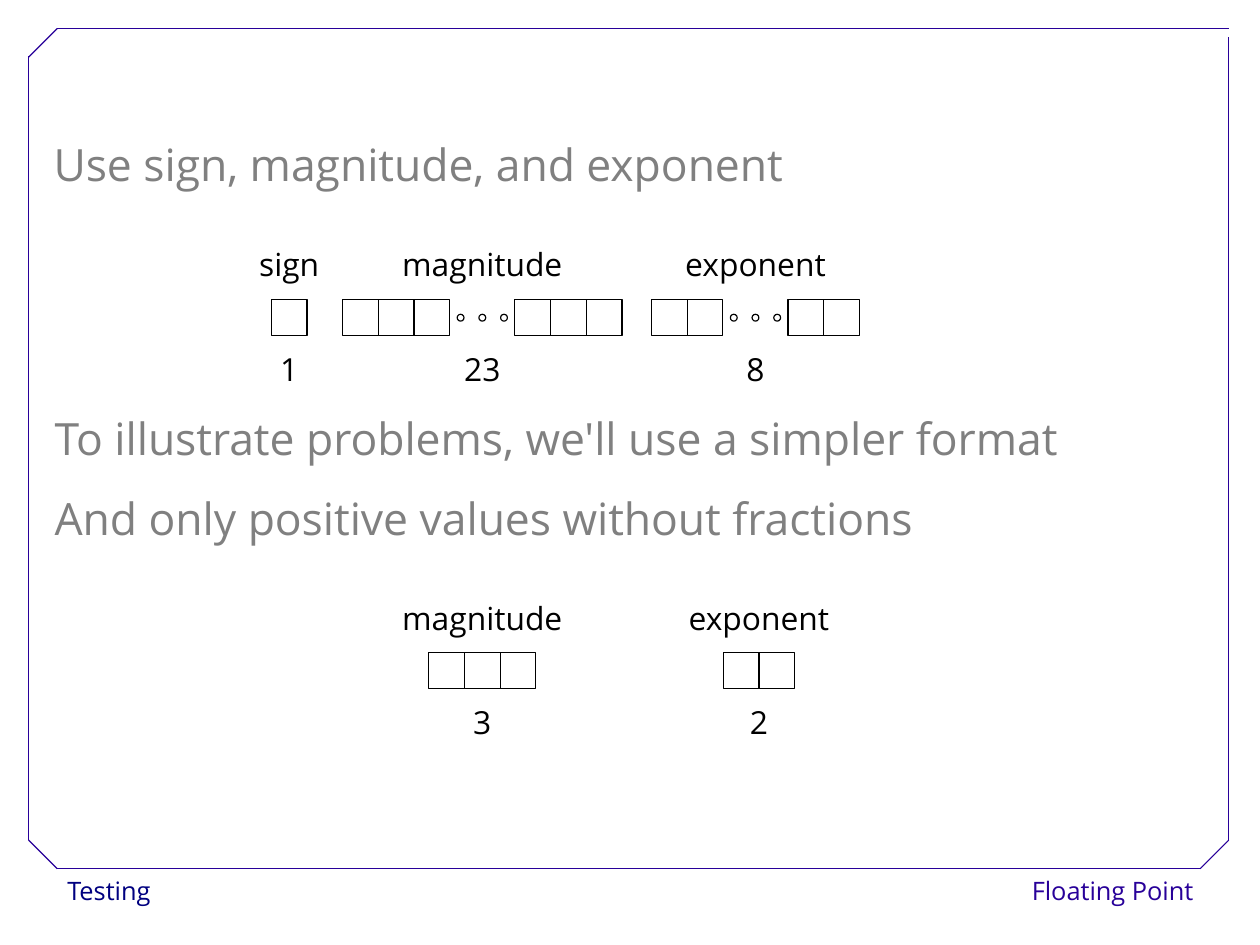
import dataclasses

import pptx
import pptx.dml.color
import pptx.enum.shapes
import pptx.enum.text
import pptx.oxml.ns
import pptx.util
from pptx.util import Inches

RGB = pptx.dml.color.RGBColor.from_string
KIND = pptx.enum.shapes.MSO_SHAPE
ALIGN = pptx.enum.text.PP_ALIGN


@dataclasses.dataclass(frozen=True)
class Theme:
    font: str = "Open Sans"
    frame: str = "280099"
    navy: str = "000080"
    grey: str = "808080"
    black: str = "000000"
    white: str = "FFFFFF"
    head: int = 28
    label: int = 20
    foot: int = 16
    line: float = 0.75


theme = Theme()
deck = pptx.Presentation()
# A metric page, 28 by 21 cm
deck.slide_width, deck.slide_height = Inches(28 / 2.54), Inches(21 / 2.54)
slide = deck.slides.add_slide(deck.slide_layouts[6])
shapes = slide.shapes


def write(lines, area, size, color, align=ALIGN.LEFT, space=1.5):
    box = shapes.add_textbox(*map(Inches, area))
    frame = box.text_frame
    frame.word_wrap = True
    frame.text = "\n".join(lines)
    style = {"name": theme.font, "size": pptx.util.Pt(size)}
    for para in frame.paragraphs:
        para.alignment, para.line_spacing = align, space
        for key, value in style.items():
            setattr(para.font, key, value)
        para.font.color.rgb = RGB(color)
    return box


def draw(kind, left, top, size):
    shape = shapes.add_shape(kind, *map(Inches, (left, top, size, size)))
    shape.shadow.inherit = False
    shape.fill.background()
    shape.line.color.rgb = RGB(theme.black)
    shape.line.width = pptx.util.Pt(theme.line)


# Footer
footer = [
    ("Testing", (0.49, 7.6, 2.15, 0.4), theme.navy, ALIGN.LEFT),
    ("Floating Point", (8.9, 7.6, 1.64, 0.4), theme.frame, ALIGN.RIGHT),
]
for text, area, color, align in footer:
    box = write([text], area, theme.foot, color, align, 1.02)
    box.fill.solid()
    box.fill.fore_color.rgb = RGB(theme.white)

# Frame with cut corners
edges = [
    (0.5, 7.6, 10.5, 7.6),
    (0.25, 7.35, 0.25, 0.49),
    (0.5, 0.25, 10.75, 0.25),
    (10.75, 7.35, 10.75, 0.32),
    (0.25, 0.5, 0.5, 0.25),
    (10.5, 7.6, 10.75, 7.35),
    (0.25, 7.35, 0.5, 7.6),
]
for edge in edges:
    line = shapes.add_connector(
        pptx.enum.shapes.MSO_CONNECTOR.STRAIGHT, *map(Inches, edge))
    line.line.color.rgb = RGB(theme.frame)
    line.line.width = pptx.util.Pt(theme.line)
    props = line._element.spPr
    props.append(props.makeelement(pptx.oxml.ns.qn("a:effectLst"), {}))

# Statements
write(["Use sign, magnitude, and exponent"],
      (0.37, 0.92, 7.7, 0.8), theme.head, theme.grey)
write(["To illustrate problems, we'll use a simpler format",
       "And only positive values without fractions"],
      (0.38, 3.31, 10.1, 1.5), theme.head, theme.grey)

# Bit fields: name, bits, middle, top, cells left and right of the dots, width
CELL, DOT, PITCH = 5 / 16, 0.06, 0.19
fields = [
    ("sign", 1, 2.53, 2.62, 1, 0, 1.75),
    ("magnitude", 23, 4.22, 2.62, 3, 3, 2.63),
    ("exponent", 8, 6.61, 2.62, 2, 2, 2.44),
    ("magnitude", 3, 4.22, 5.71, 3, 0, 2.63),
    ("exponent", 2, 6.64, 5.71, 2, 0, 2.44),
]
for name, bits, mid, top, before, after, width in fields:
    gap = 3 * PITCH if after else 0
    left = mid - ((before + after) * CELL + gap) / 2
    for i in range(before + after):
        skip = gap if i >= before else 0
        draw(KIND.RECTANGLE, left + i * CELL + skip, top, CELL)
    if after:
        for i in (-1, 0, 1):
            draw(KIND.OVAL, mid + i * PITCH - DOT / 2, top + 0.13, DOT)
    for text, wide, shift in [(name, width, -0.69), (str(bits), 1.36, 0.22)]:
        write([text], (mid - wide / 2, top + shift, wide, 0.6),
              theme.label, theme.black, ALIGN.CENTER)

deck.save("out.pptx")
